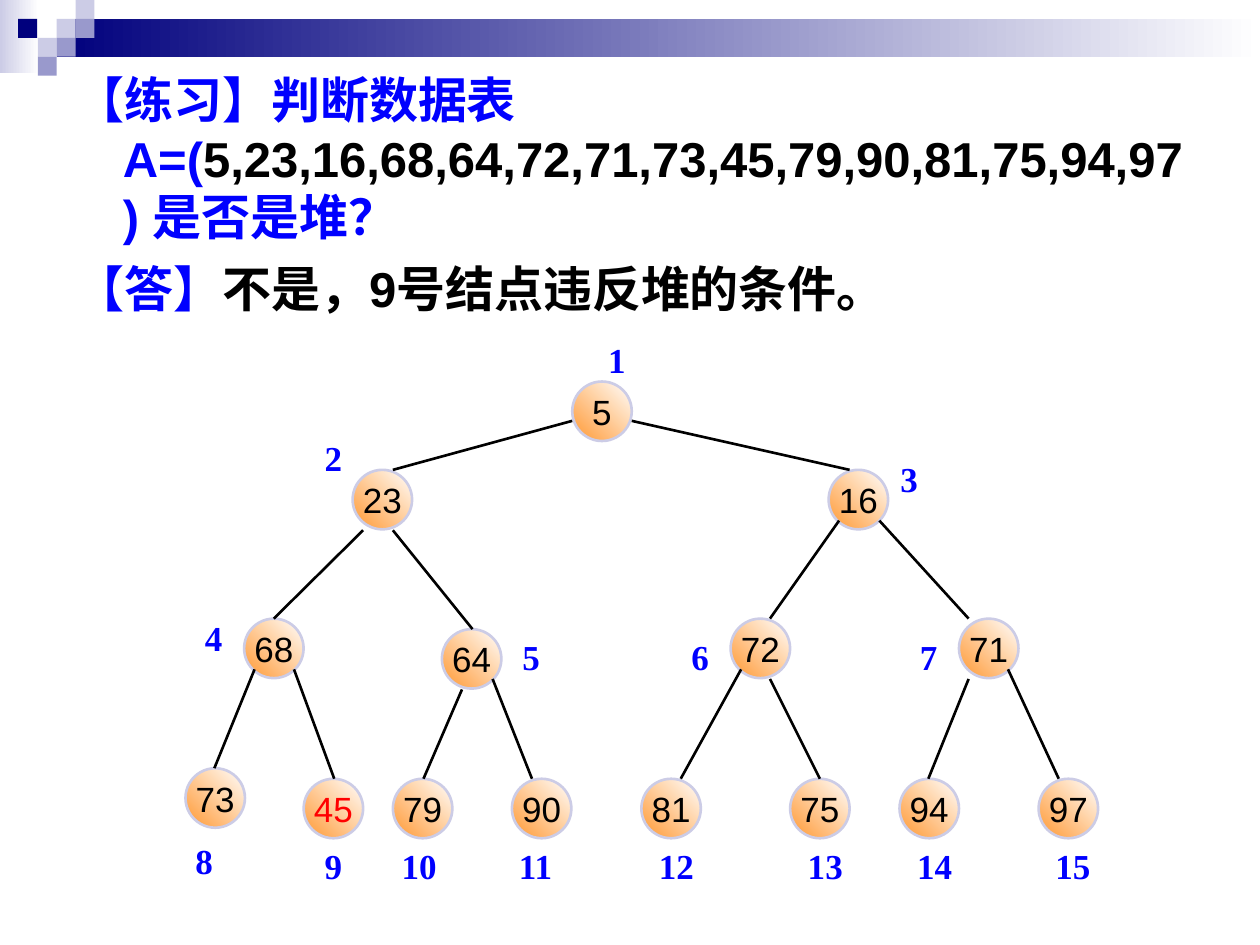
"""Build a slide that asks whether a data table is a heap."""
from lxml import etree
from pptx import Presentation
from pptx.dml.color import RGBColor
from pptx.enum.shapes import MSO_CONNECTOR, MSO_SHAPE
from pptx.enum.text import MSO_ANCHOR, MSO_AUTO_SIZE, PP_ALIGN
from pptx.oxml.ns import qn
from pptx.util import Pt

RECT, OVAL = MSO_SHAPE.RECTANGLE, MSO_SHAPE.OVAL
LINE = MSO_CONNECTOR.STRAIGHT
TOP, MIDDLE = MSO_ANCHOR.TOP, MSO_ANCHOR.MIDDLE
FIXED, GROW = MSO_AUTO_SIZE.NONE, MSO_AUTO_SIZE.SHAPE_TO_FIT_TEXT
CENTER = PP_ALIGN.CENTER

BLACK = RGBColor(0x00, 0x00, 0x00)
WHITE = RGBColor(0xFF, 0xFF, 0xFF)
BLUE = RGBColor(0x00, 0x00, 0xFF)
RED = RGBColor(0xFF, 0x00, 0x00)
ORANGE = RGBColor(0xFF, 0x99, 0x33)
NAVY = RGBColor(0x00, 0x00, 0x7D)
LILAC = RGBColor(0xCC, 0xCC, 0xE6)
VIOLET = RGBColor(0x99, 0x99, 0xCC)

SANS, SERIF = "Arial", "Times New Roman"
SIDE = 10.8
SIZE = 34
WRONG = 9

BANDS = [(0, 0, 22.3, 41.8, LILAC), (32.4, 10.8, 687.6, 21.6, NAVY)]
TILES = [
    (32.4, 10.8, LILAC), (43.2, 0, LILAC), (43.2, 10.8, VIOLET),
    (21.6, 21.6, LILAC), (10.4, 10.8, NAVY), (32.4, 21.6, VIOLET),
    (21.6, 32.4, VIOLET),
]
BODY = [
    [("【练习】判断数据表A=(", BLUE),
     ("5,23,16,68,64,72,71,73,45,79,90,81,75,94,97", BLACK),
     (") 是否是堆？", BLUE)],
    [("【答】", BLUE), ("不是，9号结点违反堆的条件。", BLACK)],
]
# value, node left and top, label left and top, edge start, edge end x
NODES = [
    (5, 327, 218, 340.5, 190, None, None),
    (23, 201.5, 268.5, 178.5, 246, (327, 240.5), 224.5),
    (16, 473.5, 268.5, 507.5, 258, (361, 240.5), 485.5),
    (68, 139.5, 353.5, 110, 348.5, (207.5, 303), 156.5),
    (64, 252.5, 359.5, 291.5, 359.5, (224.5, 303), 270),
    (72, 417.5, 353.5, 388, 359.5, (479.5, 297.5), 440),
    (71, 548, 353.5, 518.5, 359.5, (502.5, 297.5), 553.5),
    (73, 106, 439, 104.5, 476, (145.5, 382.5), 122.5),
    (45, 173.5, 445, 178.5, 479, (168, 382.5), 191),
    (79, 224.5, 445, 222.5, 479, (264, 394), 242),
    (90, 292.5, 445, 289.5, 479, (281.5, 388), 304),
    (81, 366.5, 445, 369.5, 479, (423.5, 382.5), 389),
    (75, 451.5, 445, 454.5, 479, (440, 388), 468.5),
    (94, 514, 445, 517, 479, (553.5, 388), 530.5),
    (97, 593.5, 445, 596, 479, (576, 382.5), 605),
]


def place(x, y, w, h):
    """Return a left, top, width and height in points."""
    return Pt(x), Pt(y), Pt(w), Pt(h)


def style(para, font, size, color=None, bold=False):
    """Set the font of a whole paragraph."""
    para.font.name = font
    para.font.size = Pt(size)
    para.font.bold = bold
    if color is not None:
        para.font.color.rgb = color


def fade(shape, color, angle):
    """Fill a shape with a blend from a colour to white."""
    shape.fill.gradient()
    shape.fill.gradient_angle = angle
    for stop, shade in zip(shape.fill.gradient_stops, (color, WHITE)):
        stop.color.rgb = shade


def add_plain(slide, kind, box):
    """Add a preset shape without a shadow."""
    shape = slide.shapes.add_shape(kind, *place(*box))
    shape.shadow.inherit = False
    return shape


def add_decor(slide):
    """Add the faded bands and the small tiles at the top."""
    for *box, color in BANDS:
        band = add_plain(slide, RECT, box)
        band.line.fill.background()
        fade(band, color, 0)
    for x, y, color in TILES:
        tile = add_plain(slide, RECT, (x, y, SIDE, SIDE))
        tile.line.fill.background()
        tile.fill.solid()
        tile.fill.fore_color.rgb = color


def fill_body(slide):
    """Write the question and the answer in the body placeholder."""
    body = slide.placeholders[1]
    body.left, body.top, body.width, body.height = place(36, 36, 648, 504)
    frame = body.text_frame
    frame.auto_size = FIXED
    frame.vertical_anchor = TOP
    for i, runs in enumerate(BODY):
        para = frame.add_paragraph() if i else frame.paragraphs[0]
        props = para._p.get_or_add_pPr()
        props.set("marL", str(Pt(27)))
        props.set("indent", str(Pt(-27)))
        para.space_before = Pt(7 if i else 0)
        etree.SubElement(props, qn("a:buNone"))
        style(para, SANS, 28, bold=True)
        for text, color in runs:
            run = para.add_run()
            run.text = text
            run.font.color.rgb = color


def add_node(slide, value, x, y, color):
    """Add a round node with its value."""
    node = add_plain(slide, OVAL, (x, y, SIZE, SIZE))
    fade(node, ORANGE, 45)
    node.line.color.rgb = LILAC
    node.line.width = Pt(1.5)
    frame = node.text_frame
    frame.word_wrap = False
    frame.vertical_anchor = MIDDLE
    para = frame.paragraphs[0]
    para.text = str(value)
    para.alignment = CENTER
    style(para, SANS, 20, color)


def add_edge(slide, start, end):
    """Add a straight line from a parent to a child."""
    ends = [Pt(n) for n in (*start, *end)]
    edge = slide.shapes.add_connector(LINE, *ends)
    edge.line.color.rgb = BLACK
    edge.line.width = Pt(1.5)
    etree.SubElement(edge._element.spPr, qn("a:effectLst"))


def add_label(slide, num, x, y):
    """Add the number of a node beside it."""
    width = 25 if num < 10 else 36.5
    label = slide.shapes.add_textbox(*place(x, y, width, 31.5))
    frame = label.text_frame
    frame.word_wrap = False
    frame.auto_size = GROW
    para = frame.paragraphs[0]
    para.text = str(num)
    style(para, SERIF, 20, BLUE, bold=True)


def add_tree(slide):
    """Add the nodes, then the edges and labels above them."""
    for num, (value, x, y, *_) in enumerate(NODES, 1):
        add_node(slide, value, x, y, RED if num == WRONG else BLACK)
    for num, (_, _, y, left, top, start, end) in enumerate(NODES, 1):
        if start:
            add_edge(slide, start, (end, y))
        add_label(slide, num, left, top)


def main():
    """Build and save the slide."""
    deck = Presentation()
    deck.slide_width, deck.slide_height = Pt(720), Pt(540)
    slide = deck.slides.add_slide(deck.slide_layouts[1])
    title = slide.shapes.title._element
    title.getparent().remove(title)
    add_decor(slide)
    fill_body(slide)
    add_tree(slide)
    deck.save("out.pptx")


if __name__ == "__main__":
    main()
